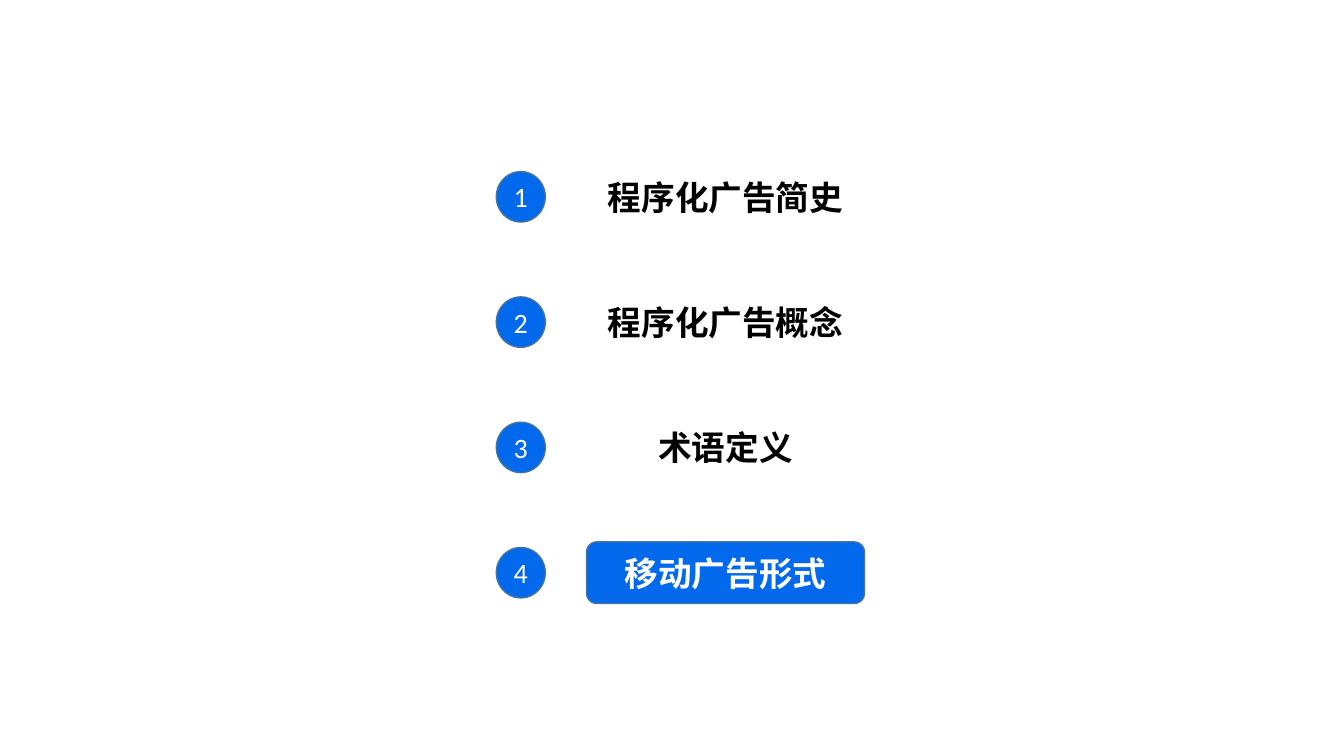
from pptx import Presentation
from pptx.dml.color import RGBColor
from pptx.enum.shapes import MSO_SHAPE
from pptx.enum.text import MSO_ANCHOR, PP_ALIGN
from pptx.util import Pt

COLORS = {"blue": "0269ED", "outline": "43739E", "white": "FFFFFF", "black": "000000"}
TOPICS = ["程序化广告简史", "程序化广告概念", "术语定义", "移动广告形式"]
CURRENT_TOPIC = "移动广告形式"
FIRST_CENTER = 140.6
ROW_PITCH = 89.5


def add_label(preset, left, center, width, height, text, font_name, size, bold, filled):
    shape = slide.shapes.add_shape(preset, Pt(left), Pt(center - height / 2), Pt(width), Pt(height))
    shape.shadow.inherit = False
    if filled:
        shape.fill.solid()
        shape.fill.fore_color.rgb = RGBColor.from_string(COLORS["blue"])
        shape.line.color.rgb = RGBColor.from_string(COLORS["outline"])
        shape.line.width = Pt(1)
    else:
        shape.fill.background()
        shape.line.fill.background()
    text_frame = shape.text_frame
    text_frame.text = text
    text_frame.word_wrap = True
    text_frame.vertical_anchor = MSO_ANCHOR.MIDDLE
    paragraph = text_frame.paragraphs[0]
    paragraph.alignment = PP_ALIGN.CENTER
    font = paragraph.runs[0].font
    font.name = font_name
    font.size = Pt(size)
    font.bold = bold
    font.color.rgb = RGBColor.from_string(COLORS["white" if filled else "black"])


presentation = Presentation()
presentation.slide_width = Pt(960)
presentation.slide_height = Pt(540)
slide = presentation.slides.add_slide(presentation.slide_layouts[6])

for index, topic in enumerate(TOPICS):
    center = FIRST_CENTER + index * ROW_PITCH
    add_label(MSO_SHAPE.OVAL, 354.5, center, 35, 36, str(index + 1), "Calibri", 20, False, True)
    add_label(MSO_SHAPE.FLOWCHART_ALTERNATE_PROCESS, 419, center, 198.5, 44, topic,
              "Roboto", 24, True, topic == CURRENT_TOPIC)

presentation.save("out.pptx")
